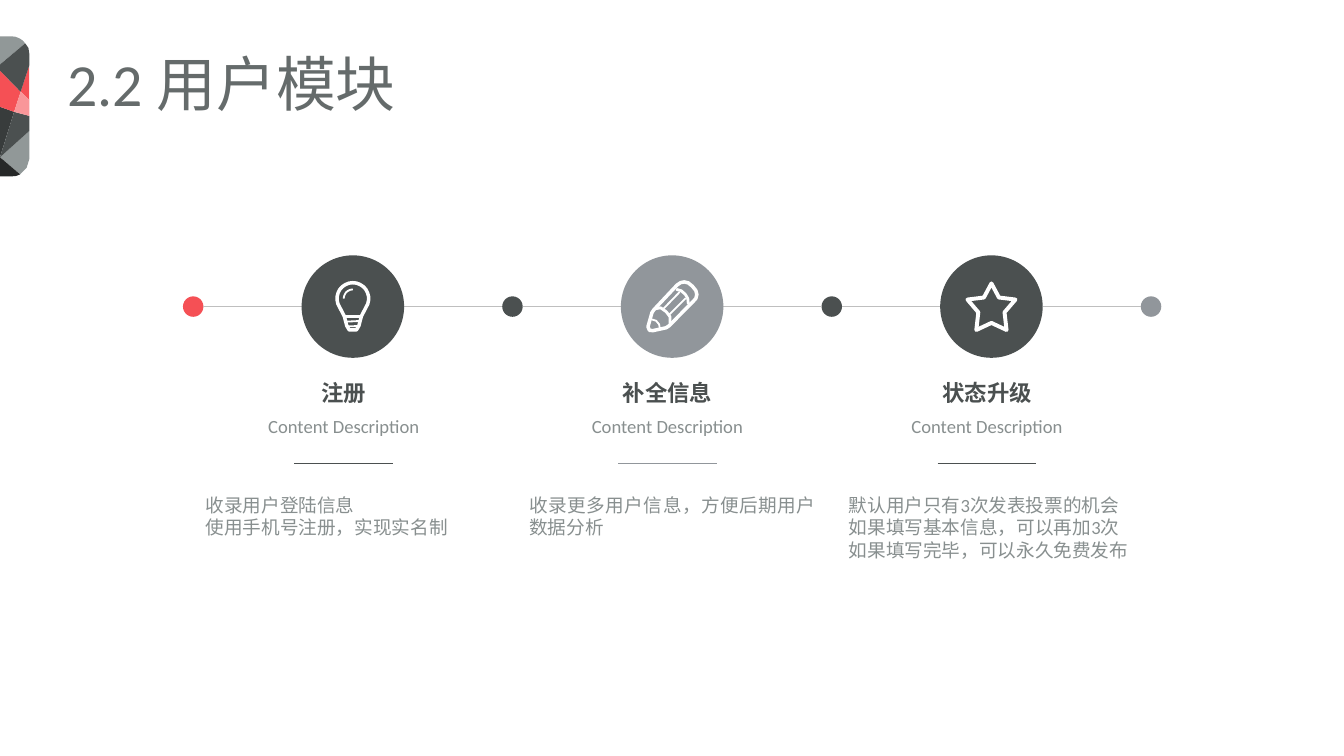
from math import cos, radians, sin

from lxml.etree import SubElement
from pptx import Presentation
from pptx.dml.color import RGBColor
from pptx.enum.shapes import MSO_CONNECTOR, MSO_SHAPE
from pptx.enum.text import MSO_ANCHOR, MSO_AUTO_SIZE, PP_ALIGN
from pptx.oxml.ns import qn
from pptx.util import Emu, Inches, Pt

COLUMNS, ROWS = 80, 45
SLIDE_WIDTH, SLIDE_HEIGHT = Inches(13.33), Inches(7.5)
GRID = SLIDE_HEIGHT / ROWS
DETAIL = GRID * 6 / 1000  # fine unit for the points of outlines

WHITE = RGBColor(0xFF, 0xFF, 0xFF)
BLACK = RGBColor(0x26, 0x28, 0x28)
CHARCOAL = RGBColor(0x38, 0x3C, 0x3C)
DARK = RGBColor(0x4B, 0x50, 0x50)
STEEL = RGBColor(0x91, 0x96, 0x9B)
GRAY = RGBColor(0x91, 0x98, 0x98)
TITLE_GRAY = RGBColor(0x65, 0x6B, 0x6B)
TEXT_GRAY = RGBColor(0x88, 0x8F, 0x8F)
RULE_GRAY = RGBColor(0xBF, 0xBF, 0xBF)
RED = RGBColor(0xF5, 0x50, 0x55)
PINK = RGBColor(0xF9, 0x96, 0x99)

EMBLEM_FACETS = [
    (GRAY, [(290, 940), (0, 1200), (200, 1370), (264, 1306), (290, 1220)]),
    (CHARCOAL, [(140, 750), (0, 700), (0, 1200)]),
    (DARK, [(140, 750), (0, 1200), (290, 940), (290, 790)]),
    (BLACK, [(200, 1370), (0, 1200), (0, 1390), (110, 1390), (160, 1386)]),
    (GRAY, [(0, 280), (250, 70), (224, 41), (191, 20), (152, 5), (110, 0), (0, 0)]),
    (RED, [(290, 290), (205, 550), (290, 630)]),
    (RED, [(140, 750), (205, 550), (0, 340), (0, 700)]),
    (DARK, [(0, 340), (205, 550), (290, 290), (290, 170), (282, 116), (250, 70), (0, 280)]),
    (PINK, [(290, 630), (205, 550), (140, 750), (290, 790)]),
]


def arc(radius, start, end, center_y=-80):
    angles = [start + (end - start) * step / 16 for step in range(17)]
    return [(radius * cos(radians(a)), center_y + radius * sin(radians(a))) for a in angles]


def mirrored(half):
    """Complete a right-hand half, listed downwards, with its left-hand twin."""
    return half + [(-x, y) for x, y in reversed(half)]


# Each stroke: points around the disc's centre, width in points, closed or open.
BULB = [
    (arc(157, 160, 380) + mirrored([(85, 95), (60, 190), (35, 232)]), 2.5, True),
    ([(-85, 95), (85, 95)], 2.2, False),
    ([(-68, 150), (68, 143)], 1.3, False),
    ([(-55, 197), (55, 193)], 1.3, False),
    (arc(90, 180, 270), 1.3, False),
]
PENCIL = [
    ([(-240, 200), (-200, 60), (-180, 30), (50, -215), (85, -238), (120, -245),
      (160, -235), (200, -203), (235, -160), (245, -120), (235, -80), (210, -53),
      (-30, 190), (-60, 210), (-190, 238), (-225, 235)], 2.5, True),
    ([(40, -172), (90, -157), (130, -122), (155, -80), (160, -25)], 2, False),
    ([(-170, 22), (-115, 12), (-60, 50), (-22, 100), (-20, 170)], 2, False),
    ([(-85, 20), (75, -145)], 1.3, False),
    ([(-30, 80), (135, -85)], 1.3, False),
    ([(-220, 122), (-160, 140), (-130, 175), (-122, 220)], 1.3, False),
]
STAR = [(mirrored([(0, -230), (75, -90), (238, -70), (130, 57), (150, 232), (0, 162)]), 2.8, True)]

STEPS = [
    # heading, body lines, accent, icon, indent of the text in its column
    ("注册", ["收录用户登陆信息", "使用手机号注册，实现实名制"], DARK, BULB, 0.14),
    ("补全信息", ["收录更多用户信息，方便后期用户数据分析"], STEEL, PENCIL, 0.4),
    ("状态升级", ["默认用户只有3次发表投票的机会", "如果填写基本信息，可以再加3次",
              "如果填写完毕，可以永久免费发布"], DARK, STAR, 0.42),
]
DOT_COLORS = [RED, DARK, DARK, STEEL]
STEP_WIDTH = 19
DISC, DOT = 6.1, 1.22


def grid(*lengths):
    return [Emu(round(length * GRID)) for length in lengths]


def write(text_frame, lines, *, size, color, bold=False, align=PP_ALIGN.LEFT, **spacing):
    for index, line in enumerate(lines):
        paragraph = text_frame.paragraphs[0] if index == 0 else text_frame.add_paragraph()
        paragraph.alignment = align
        for name, value in spacing.items():
            setattr(paragraph, name, value)
        run = paragraph.add_run()
        run.text = line
        run.font.name = "Calibri"
        run.font.size = Pt(size)
        run.font.bold = bold
        run.font.color.rgb = color


def add_text(slide, box, lines, **text_format):
    text_frame = slide.shapes.add_textbox(*grid(*box)).text_frame
    text_frame.word_wrap = True
    write(text_frame, lines, **text_format)


def add_disc(shapes, center_x, center_y, diameter, color):
    box = grid(center_x - diameter / 2, center_y - diameter / 2, diameter, diameter)
    disc = shapes.add_shape(MSO_SHAPE.OVAL, *box)
    disc.shadow.inherit = False
    disc.fill.solid()
    disc.fill.fore_color.rgb = color
    disc.line.fill.background()


def add_rule(slide, left, right, y, color):
    rule = slide.shapes.add_connector(MSO_CONNECTOR.STRAIGHT, *grid(left, y, right, y))
    rule.line.color.rgb = color
    rule.line.width = Pt(1)
    SubElement(rule._element.spPr, qn("a:effectLst"))


def add_outline(shapes, points, left, top, closed=True):
    builder = shapes.build_freeform(*points[0], scale=DETAIL)
    builder.add_line_segments(points[1:], close=closed)
    outline = builder.convert_to_shape(*grid(left, top))
    outline.shadow.inherit = False
    return outline


def add_emblem(slide, left, top):
    group = slide.shapes.add_group_shape()
    for color, points in EMBLEM_FACETS:
        facet = add_outline(group.shapes, points, left, top)
        facet.fill.solid()
        facet.fill.fore_color.rgb = color
        facet.line.fill.background()


def add_title(slide, box, text):
    title = slide.shapes.title
    title.left, title.top, title.width, title.height = grid(*box)
    frame = title.text_frame
    frame.margin_left = frame.margin_right = frame.margin_top = frame.margin_bottom = 0
    frame.vertical_anchor = MSO_ANCHOR.MIDDLE
    frame.auto_size = MSO_AUTO_SIZE.NONE
    write(frame, [text], size=42.7, color=TITLE_GRAY, line_spacing=0.9, space_before=Pt(7.5))


def add_icon_disc(slide, center_x, center_y, color, icon):
    group = slide.shapes.add_group_shape()
    add_disc(group.shapes, center_x, center_y, DISC, color)
    for points, width, closed in icon:
        stroke = add_outline(group.shapes, points, center_x, center_y, closed)
        stroke.fill.background()
        stroke.line.color.rgb = WHITE
        stroke.line.width = Pt(width)


def add_step(slide, left, axis, step):
    """Place one step in the column that starts at the dot before it."""
    heading, lines, accent, icon, indent = step
    center = left + STEP_WIDTH / 2
    add_rule(slide, left + DOT / 2, center - DISC / 2, axis, RULE_GRAY)
    add_rule(slide, center + DISC / 2, left + STEP_WIDTH - DOT / 2, axis, RULE_GRAY)
    add_icon_disc(slide, center, axis, accent, icon)

    text_left = left + indent
    text_center = text_left + 8.82
    add_text(slide, (text_center - 4.23, axis + 4.01, 8.46, 2.2), [heading],
             size=16, color=DARK, bold=True, align=PP_ALIGN.CENTER)
    add_text(slide, (text_center - 6.18, axis + 6.17, 12.36, 2), ["Content Description"],
             size=13.3, color=TEXT_GRAY, align=PP_ALIGN.CENTER)
    add_rule(slide, text_center - 2.94, text_center + 2.94, axis + 9.35, accent)
    add_text(slide, (text_left, axis + 10.85, 18.25, 0.66 + 1.32 * len(lines)), lines,
             size=13.3, color=TEXT_GRAY, align=PP_ALIGN.JUSTIFY)


def add_timeline(slide, left, axis):
    for index, color in enumerate(DOT_COLORS):
        add_disc(slide.shapes, left + index * STEP_WIDTH, axis, DOT, color)
    for index, step in enumerate(STEPS):
        add_step(slide, left + index * STEP_WIDTH, axis, step)


def main():
    presentation = Presentation()
    presentation.slide_width, presentation.slide_height = SLIDE_WIDTH, SLIDE_HEIGHT
    slide = presentation.slides.add_slide(presentation.slide_layouts[5])
    add_title(slide, (4, 3.42, 42, 3.54), "2.2 用户模块")
    add_emblem(slide, 0, 2.16)
    add_timeline(slide, (COLUMNS - len(STEPS) * STEP_WIDTH) / 2, 18.25)
    presentation.save("out.pptx")


if __name__ == "__main__":
    main()
